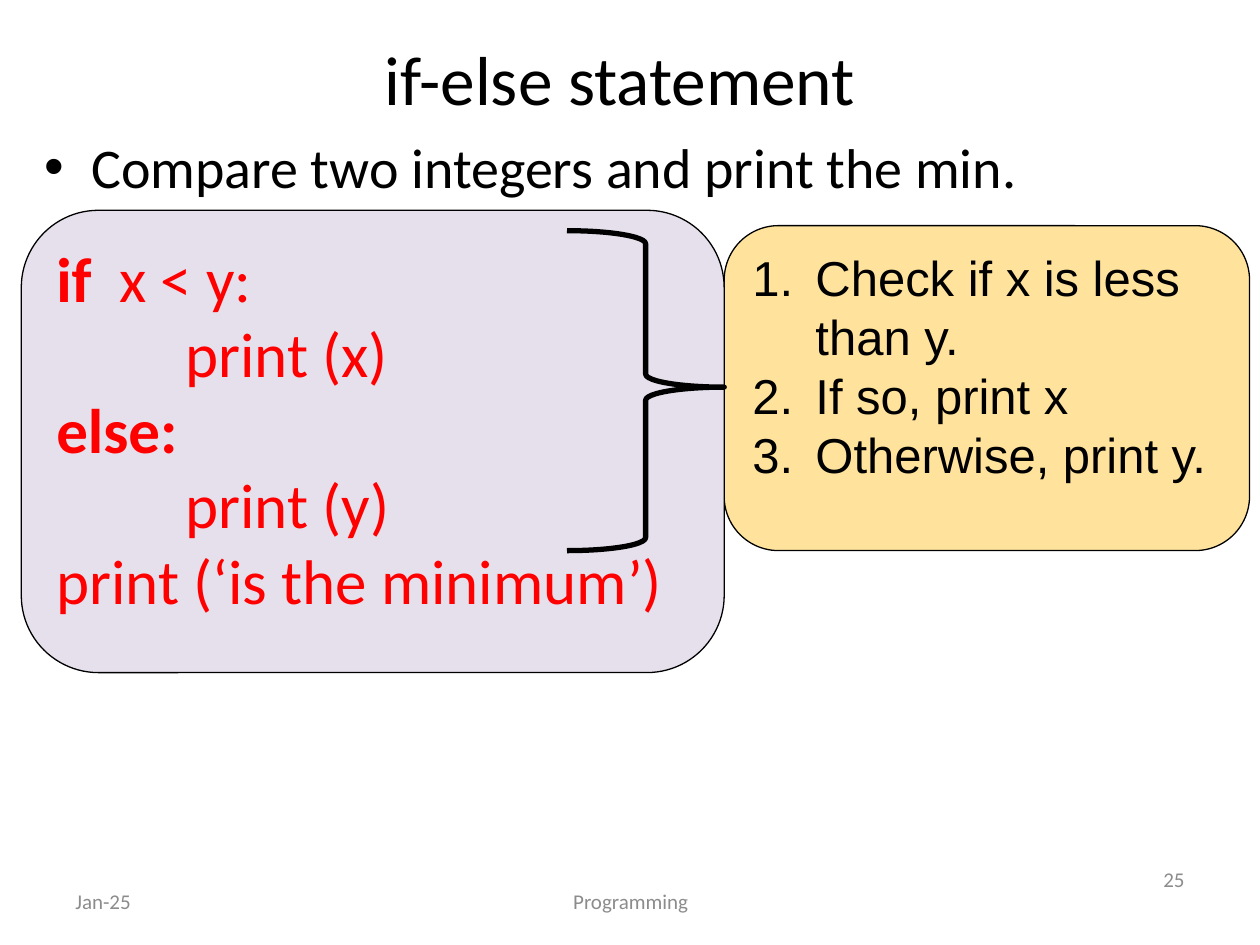
from lxml import etree
from pptx import Presentation
from pptx import util as u
from pptx.dml.color import RGBColor
from pptx.enum import shapes, text
from pptx.oxml.ns import qn

BLACK = RGBColor(0, 0, 0)
RED = RGBColor(0xFF, 0, 0)
GREY = RGBColor(0x8C, 0x8C, 0x8C)
LILAC = RGBColor(0xE6, 0xE0, 0xEC)
AMBER = RGBColor(0xFF, 0xE3, 0x9D)

LEFT, CENTER, RIGHT = text.PP_ALIGN.LEFT, text.PP_ALIGN.CENTER, text.PP_ALIGN.RIGHT
TOP, MIDDLE = text.MSO_ANCHOR.TOP, text.MSO_ANCHOR.MIDDLE

# Content: a line is a list of (words, bold) runs; code lines carry an indent level
TITLE = "if-else statement"
TASK = "Compare two integers and print the min."
CODE = [
    (0, [("if", True), ("\tx < y:", False)]),
    (1, [("print (x)", False)]),
    (0, [("else:", True)]),
    (1, [("print (y)", False)]),
    (0, [("print (‘is the minimum’)", False)]),
]
STEPS = ["Check if x is less than y.", "If so, print x", "Otherwise, print y."]
FOOTERS = [  # words, alignment, left, top, width
    ("Jan-25", LEFT, 1.27, 17.65, 5.92),
    ("Programming", CENTER, 8.69, 17.65, 8.05),
    ("25", RIGHT, 18.21, 17.22, 5.92),
]

# Positions in cm: left, top, width, height
TITLE_AT = (1.7, 0.84, 21.59, 1.47)
TASK_AT = (0.64, 2.54, 24.56, 3.18)
CODE_AT = (0.43, 4.24, 14.17, 9.32)
STEPS_AT = (14.6, 4.55, 10.59, 6.55)
BRACE_AT = (11.43, 4.65, 3.17, 6.45)
FOOTER_HEIGHT = 1.02
CODE_INDENT, CODE_TAB = 2.6, 1.25


def cm(at):
    return [u.Cm(length) for length in at]


def write(frame, lines, size, color, font="Calibri", align=LEFT, anchor=TOP):
    """Fill a text frame with lines of runs and return its paragraphs."""
    frame.word_wrap = True
    frame.vertical_anchor = anchor
    for number, runs in enumerate(lines):
        line = frame.add_paragraph() if number else frame.paragraphs[0]
        line.alignment = align
        for words, bold in runs:
            run = line.add_run()
            run.text = words
            run.font.name, run.font.size, run.font.bold = font, u.Pt(size), bold
            run.font.color.rgb = color
    return frame.paragraphs


def hang(line, indent, tag, **attributes):
    """Give a line a hanging indent with a bullet or number."""
    props = line._p.get_or_add_pPr()
    props.set("marL", str(u.Cm(indent)))
    props.set("indent", str(-u.Cm(indent)))
    if tag == "a:buChar":
        etree.SubElement(props, qn("a:buFont"), typeface="Arial")
    etree.SubElement(props, qn(tag), **attributes)


def add_outlined(slide, kind, at, fill, line_width, adjustments):
    shape = slide.shapes.add_shape(kind, *cm(at))
    shape.shadow.inherit = False
    shape.fill.solid()
    shape.fill.fore_color.rgb = fill
    shape.line.color.rgb = BLACK
    shape.line.width = u.Pt(line_width)
    for number, value in enumerate(adjustments):
        shape.adjustments[number] = value
    return shape


def main():
    deck = Presentation()
    deck.slide_width, deck.slide_height = u.Cm(25.4), u.Cm(19.05)
    slide = deck.slides.add_slide(deck.slide_layouts[6])

    # Title and task
    title = slide.shapes.add_textbox(*cm(TITLE_AT))
    write(title.text_frame, [[(TITLE, False)]], 39.6, BLACK, align=CENTER, anchor=MIDDLE)
    task = slide.shapes.add_textbox(*cm(TASK_AT))
    for line in write(task.text_frame, [[(TASK, False)]], 32, BLACK):
        line.space_before = u.Pt(6.4)
        hang(line, 0.95, "a:buChar", char="•")

    # Footers
    for words, align, left, top, width in FOOTERS:
        footer = slide.shapes.add_textbox(*cm((left, top, width, FOOTER_HEIGHT)))
        write(footer.text_frame, [[(words, False)]], 12, GREY, align=align, anchor=MIDDLE)

    # Numbered steps
    rounded = shapes.MSO_SHAPE.ROUNDED_RECTANGLE
    steps = add_outlined(slide, rounded, STEPS_AT, AMBER, 0.75, [0.167])
    step_runs = [[(step, False)] for step in STEPS]
    for line in write(steps.text_frame, step_runs, 28, BLACK, font="Arial"):
        hang(line, 1.27, "a:buAutoNum", type="arabicPeriod")

    # Code, with a tab stop after the keyword
    code = add_outlined(slide, rounded, CODE_AT, LILAC, 0.75, [0.167])
    code_lines = write(code.text_frame, [runs for _, runs in CODE], 36, RED)
    for line, (level, _) in zip(code_lines, CODE):
        props = line._p.get_or_add_pPr()
        props.set("marL", str(u.Cm(CODE_INDENT * level)))
        props.set("indent", "0")
        tabs = etree.SubElement(props, qn("a:tabLst"))
        etree.SubElement(tabs, qn("a:tab"), pos=str(u.Cm(CODE_TAB)), algn="l")

    # Brace joining code and steps
    brace = add_outlined(slide, shapes.MSO_SHAPE.LEFT_BRACE, BRACE_AT, LILAC, 3, [0.083, 0.511])
    brace.rotation = 180

    deck.save("out.pptx")


if __name__ == "__main__":
    main()
